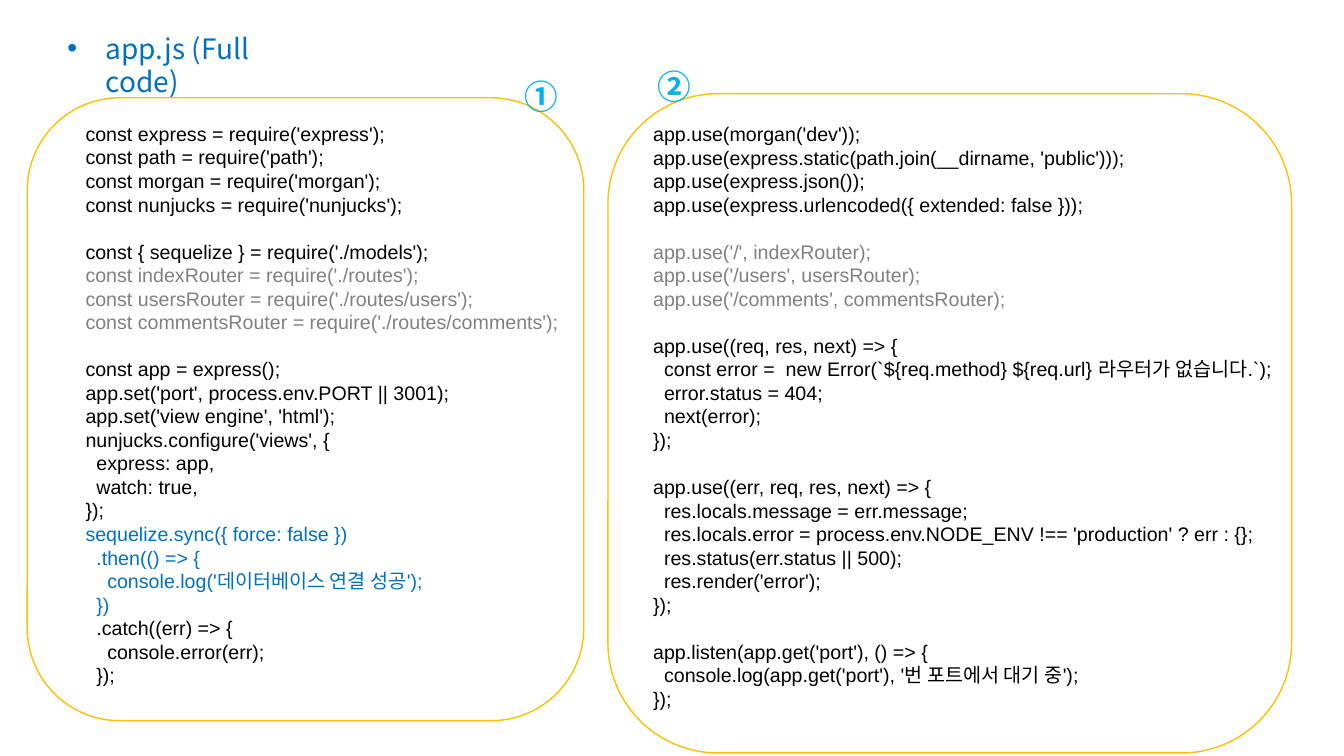
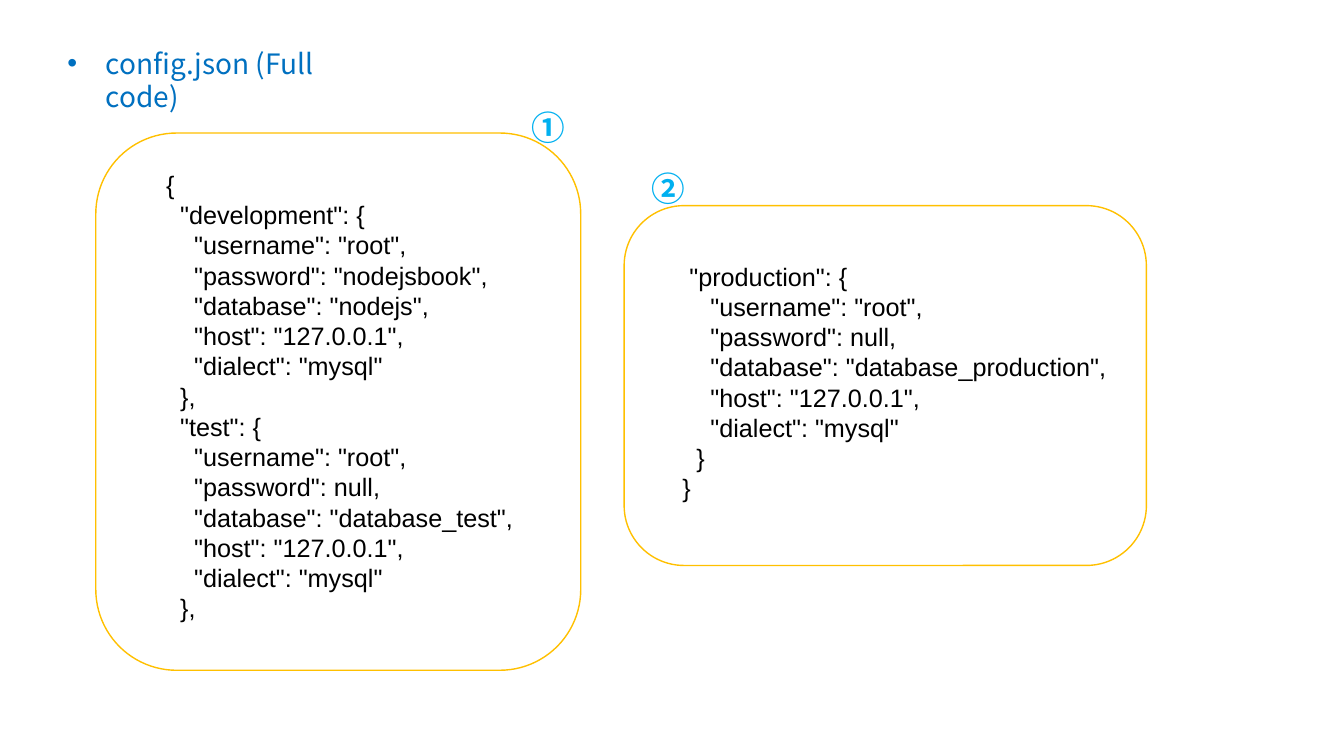
from lxml.etree import SubElement as Sub
from pptx import Presentation
from pptx.dml.color import RGBColor as RGB
from pptx.enum.shapes import MSO_SHAPE as Shape
from pptx.oxml.ns import qn
from pptx.util import Inches, Pt

BLUE = RGB(0x00, 0x70, 0xC0)
SKY = RGB(0x00, 0xB0, 0xF0)
GOLD = RGB(0xFF, 0xC0, 0x00)
GRAY = RGB(0x80, 0x80, 0x80)
BLACK = RGB(0x00, 0x00, 0x00)
SANS = "Arial"
KOREAN = "Noto Sans CJK KR"
LEADING = 1.2

SETUP = [
    (BLACK, """const express = require('express');
const path = require('path');
const morgan = require('morgan');
const nunjucks = require('nunjucks');

const { sequelize } = require('./models');"""),
    (GRAY, """const indexRouter = require('./routes');
const usersRouter = require('./routes/users');
const commentsRouter = require('./routes/comments');"""),
    (BLACK, """
const app = express();
app.set('port', process.env.PORT || 3001);
app.set('view engine', 'html');
nunjucks.configure('views', {
  express: app,
  watch: true,
});"""),
    (BLUE, """sequelize.sync({ force: false })
  .then(() => {
    console.log('데이터베이스 연결 성공');
  })"""),
    (BLACK, """  .catch((err) => {
    console.error(err);
  });"""),
]

ROUTES = [
    (BLACK, """app.use(morgan('dev'));
app.use(express.static(path.join(__dirname, 'public')));
app.use(express.json());
app.use(express.urlencoded({ extended: false }));"""),
    (GRAY, """
app.use('/', indexRouter);
app.use('/users', usersRouter);
app.use('/comments', commentsRouter);"""),
    (BLACK, """
app.use((req, res, next) => {
  const error =  new Error(`${req.method} ${req.url} 라우터가 없습니다.`);
  error.status = 404;
  next(error);
});

app.use((err, req, res, next) => {
  res.locals.message = err.message;
  res.locals.error = process.env.NODE_ENV !== 'production' ? err : {};
  res.status(err.status || 500);
  res.render('error');
});

app.listen(app.get('port'), () => {
  console.log(app.get('port'), '번 포트에서 대기 중');
});"""),
]

DEV = [(BLACK, """{
  "development": {
    "username": "root",
    "password": "nodejsbook",
    "database": "nodejs",
    "host": "127.0.0.1",
    "dialect": "mysql"
  },
  "test": {
    "username": "root",
    "password": null,
    "database": "database_test",
    "host": "127.0.0.1",
    "dialect": "mysql"
  },""")]

PROD = [(BLACK, """ "production": {
    "username": "root",
    "password": null,
    "database": "database_production",
    "host": "127.0.0.1",
    "dialect": "mysql"
  }
}""")]


def add_text(slide, box, wrap=True):
    frame = slide.shapes.add_textbox(*map(Inches, box)).text_frame
    frame.word_wrap = wrap
    return frame


def style(para, size, color, font, bold=False):
    para.line_spacing = Pt(size * LEADING)
    for run in para.runs:
        run.font.size = Pt(size)
        run.font.bold = bold
        run.font.color.rgb = color
        run.font.name = font
        Sub(run.font._element, qn("a:ea"), typeface=KOREAN)


def add_title(slide, text, top, width):
    para = add_text(slide, (0.57, top, width, 0.44)).paragraphs[0]
    para.text = text
    props = para._p.get_or_add_pPr()
    props.set("marL", str(Inches(0.38)))
    props.set("indent", str(-Inches(0.38)))
    Sub(props, qn("a:buFont"), typeface=SANS)
    Sub(props, qn("a:buChar"), char="•")
    style(para, 20, BLUE, KOREAN)


def add_code(slide, box, parts, size):
    frame = add_text(slide, box)
    para, gap = frame.paragraphs[0], False
    for color, code in parts:
        for line in code.split("\n"):
            if not line:
                gap = True
                continue
            if para.runs:
                para = frame.add_paragraph()
            para.text = line
            style(para, size, color, SANS)
            if gap:
                para.space_before = Pt(size * LEADING)
                gap = False


def add_panel(slide, box, inset, badge, mark, parts, size):
    left, top, width, height = box
    dx, dy = inset
    add_code(slide, (left + dx, top + dy, 6.67, height - 2 * dy), parts, size)
    frame = slide.shapes.add_shape(Shape.ROUNDED_RECTANGLE, *map(Inches, box))
    frame.shadow.inherit = False
    frame.fill.background()
    frame.line.color.rgb = GOLD
    frame.line.width = Pt(1)
    dx, dy = badge
    para = add_text(slide, (left + dx, top + dy, 0.54, 0.5), False).paragraphs[0]
    para.text = mark
    style(para, 24, SKY, KOREAN, True)


def add_page(deck, title, top, width, size, panels):
    slide = deck.slides.add_slide(deck.slide_layouts[6])
    add_title(slide, title, top, width)
    for mark, (box, inset, badge, parts) in zip("①②", panels):
        add_panel(slide, box, inset, badge, mark, parts, size)


def main():
    deck = Presentation()
    deck.slide_width, deck.slide_height = Inches(13.33), Inches(7.5)
    add_page(deck, "app.js (Full code)", 0.26, 2.6, 14, [
        ((0.27, 0.97, 5.52, 6.18), (0.48, 0.19), (4.83, -0.27), SETUP),
        ((6.03, 0.93, 6.78, 6.54), (0.35, 0.23), (0.39, -0.33), ROUTES),
    ])
    add_page(deck, "config.json (Full code)", 0.41, 3.2, 18, [
        ((0.95, 1.32, 4.81, 5.33), (0.6, 0.31), (4.22, -0.31), DEV),
        ((6.19, 2.04, 5.18, 3.57), (0.48, 0.5), (0.17, -0.42), PROD),
    ])
    deck.save("out.pptx")


if __name__ == "__main__":
    main()
